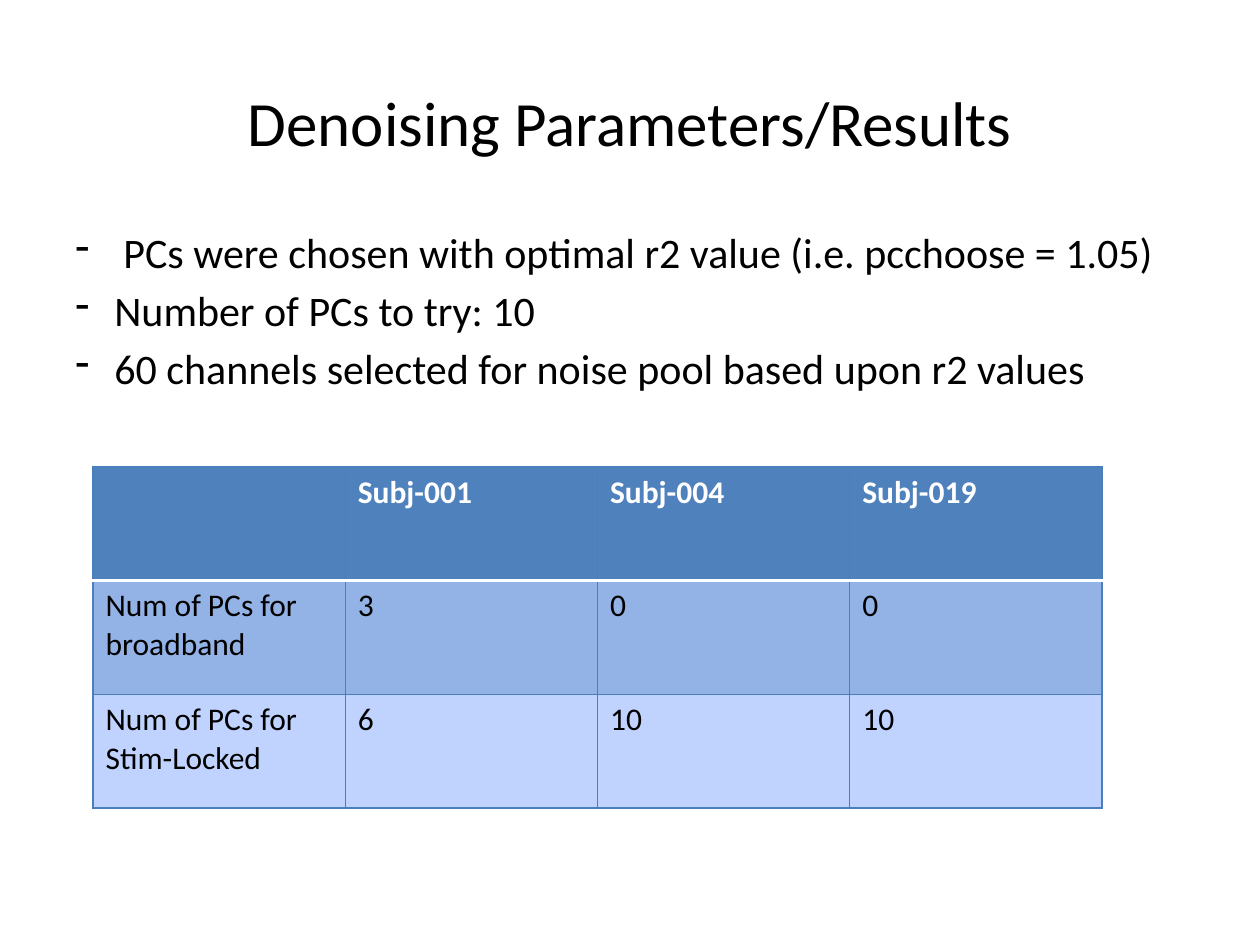
from lxml.etree import SubElement
from pptx import Presentation
from pptx.dml.color import RGBColor
from pptx.enum.text import MSO_ANCHOR, PP_ALIGN
from pptx.oxml.ns import qn
from pptx.util import Pt

PX = 914400 / 126
FONT = "Calibri"
BLACK, WHITE = "000000", "FFFFFF"
GRID = ("4B7EBC", 0.75)
HEADER_RULE = (WHITE, 2)
ROW_FILLS = ["4F81BD", "93B2E5", "C0D3FF"]

TITLE = "Denoising Parameters/Results"
POINTS = [
    ("PCs were chosen with optimal r2 value (i.e. pcchoose = 1.05)", 48),
    ("Number of PCs to try: 10", 39),
    ("60 channels selected for noise pool based upon r2 values", 39),
]
RESULTS = [
    ["", "Subj-001", "Subj-004", "Subj-019"],
    ["Num of PCs for broadband", "3", "0", "0"],
    ["Num of PCs for Stim-Locked", "6", "10", "10"],
]
TITLE_BOX = (63, 42, 1134, 158)
POINTS_BOX = (63, 220, 1134, 185)
RESULTS_BOX = (93, 467, 1009, 341)


def emu(*lengths):
    return [round(length * PX) for length in lengths]


def color(code):
    return RGBColor.from_string(code)


def write(paragraph, text, size=18, ink=BLACK, bold=False, align=PP_ALIGN.LEFT, before=0, hang=0):
    paragraph.alignment = align
    paragraph.space_before = Pt(before)
    font = paragraph.font
    if text:
        run = paragraph.add_run()
        run.text = text
        font = run.font
    font.name, font.size, font.bold = FONT, Pt(size), bold
    font.color.rgb = color(ink)
    if hang:
        properties = paragraph._p.get_or_add_pPr()
        indent, = emu(hang)
        properties.set("marL", str(indent))
        properties.set("indent", str(-indent))
        SubElement(properties, qn("a:buFontTx"))
        SubElement(properties, qn("a:buChar"), char="-")


def add_frame(slide, box, anchor=MSO_ANCHOR.TOP):
    frame = slide.shapes.add_textbox(*emu(*box)).text_frame
    frame.word_wrap = True
    frame.vertical_anchor = anchor
    return frame


def draw_borders(cell, sides):
    properties = cell._tc.get_or_add_tcPr()
    for position, (side, (ink, width)) in enumerate(sides.items()):
        line = SubElement(properties, qn(f"a:ln{side}"), w=str(Pt(width)))
        fill = SubElement(line, qn("a:solidFill"))
        SubElement(fill, qn("a:srgbClr"), val=ink)
        properties.remove(line)
        properties.insert(position, line)


def add_results(slide):
    table = slide.shapes.add_table(len(RESULTS), len(RESULTS[0]), *emu(*RESULTS_BOX)).table
    for r, (values, fill) in enumerate(zip(RESULTS, ROW_FILLS)):
        for c, value in enumerate(values):
            cell = table.cell(r, c)
            cell.fill.solid()
            cell.fill.fore_color.rgb = color(fill)
            write(cell.text_frame.paragraphs[0], value, ink=BLACK if r else WHITE, bold=r == 0)
            draw_borders(cell, {
                "L": GRID,
                "R": GRID,
                "T": HEADER_RULE if r == 1 else GRID,
                "B": HEADER_RULE if r == 0 else GRID,
            })


def main():
    """Build the denoising parameters and results slide."""
    deck = Presentation()
    deck.slide_width, deck.slide_height = emu(1260, 945)
    slide = deck.slides.add_slide(deck.slide_layouts[6])

    heading = add_frame(slide, TITLE_BOX, MSO_ANCHOR.MIDDLE)
    write(heading.paragraphs[0], TITLE, size=36, align=PP_ALIGN.CENTER)

    points = add_frame(slide, POINTS_BOX)
    for i, (text, hang) in enumerate(POINTS):
        paragraph = points.add_paragraph() if i else points.paragraphs[0]
        write(paragraph, text, size=24, before=4.5, hang=hang)

    add_results(slide)
    deck.save("out.pptx")


if __name__ == "__main__":
    main()
